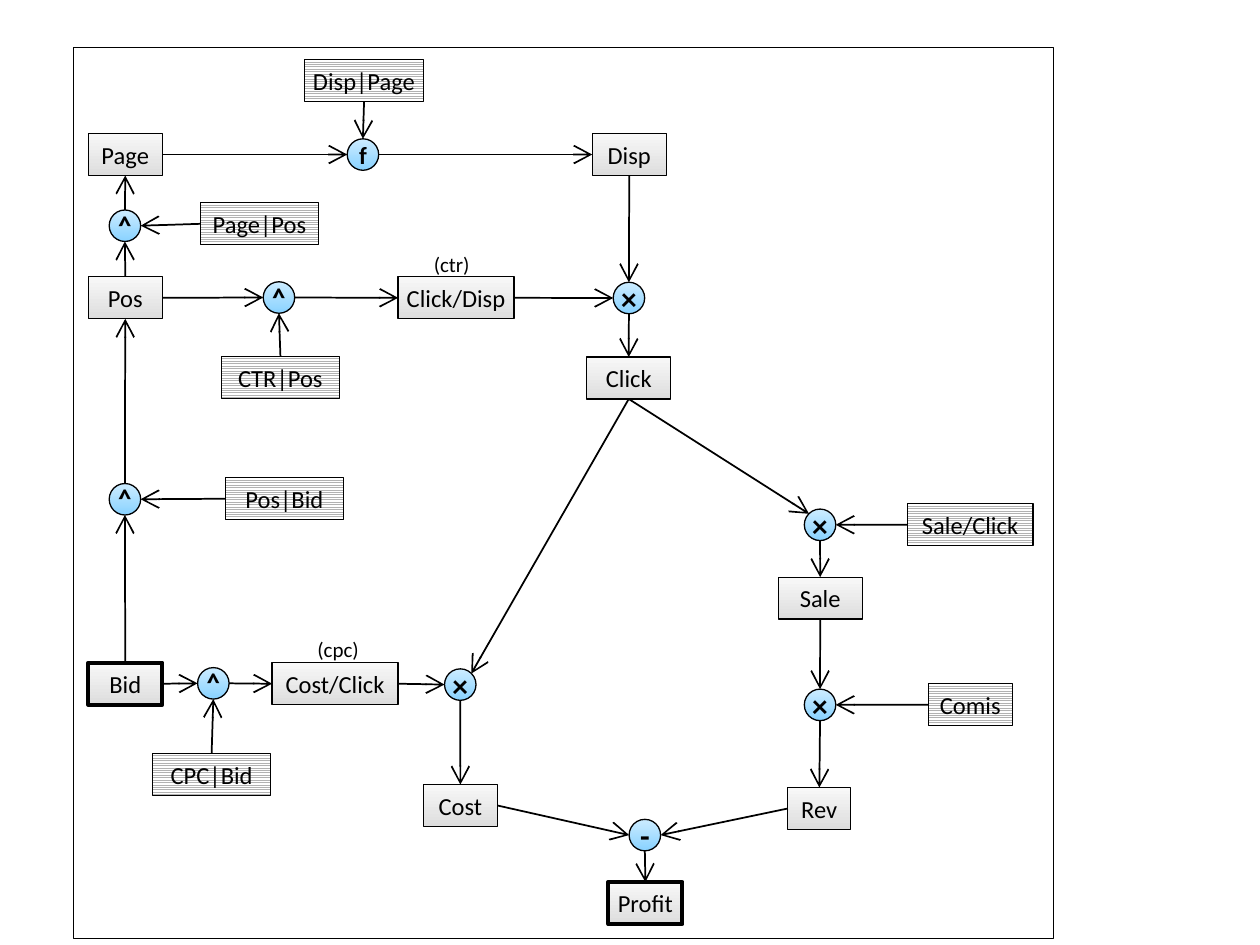
"""Build a slide with a diagram that links bids, clicks, costs and profit."""
from dataclasses import dataclass

from lxml import etree
from pptx import Presentation
from pptx.dml.color import RGBColor
from pptx.enum.dml import MSO_PATTERN
from pptx.enum.shapes import MSO_CONNECTOR, MSO_SHAPE
from pptx.enum.text import MSO_ANCHOR, MSO_AUTO_SIZE, PP_ALIGN
from pptx.oxml.ns import qn
from pptx.util import Pt

RECTANGLE, OVAL = MSO_SHAPE.RECTANGLE, MSO_SHAPE.OVAL
STRAIGHT = MSO_CONNECTOR.STRAIGHT
STRIPES = MSO_PATTERN.LIGHT_HORIZONTAL
MIDDLE, CENTER = MSO_ANCHOR.MIDDLE, PP_ALIGN.CENTER
FIT_SHAPE = MSO_AUTO_SIZE.SHAPE_TO_FIT_TEXT


@dataclass
class Theme:
    font: str = "Calibri"
    ink: RGBColor = RGBColor(0, 0, 0)
    paper: RGBColor = RGBColor(255, 255, 255)
    stripe: RGBColor = RGBColor(0xB2, 0xB2, 0xB2)
    value: tuple = (RGBColor(0xF8, 0xF8, 0xF8), RGBColor(0xDD, 0xDD, 0xDD))
    operator: tuple = (RGBColor(0xCC, 0xEC, 0xFF), RGBColor(0x89, 0xD2, 0xFF))
    note_size: int = 12
    label_size: int = 14
    symbol_size: int = 18
    thin: float = 0.75
    arrow: float = 1
    thick: float = 2.25


theme = Theme()
deck = Presentation()
deck.slide_width, deck.slide_height = Pt(720), Pt(540)
slide = deck.slides.add_slide(deck.slide_layouts[6])
nodes = {}


def write(shape, text, size, bold=False):
    frame = shape.text_frame
    frame.word_wrap = False
    span = frame.paragraphs[0].add_run()
    span.text = text
    span.font.name, span.font.size, span.font.bold = theme.font, Pt(size), bold
    span.font.color.rgb = theme.ink
    return frame


def add_node(kind, left, top, width, height, colors, weight=theme.thin):
    shape = slide.shapes.add_shape(kind, Pt(left), Pt(top), Pt(width), Pt(height))
    shape.shadow.inherit = False
    shape.line.color.rgb, shape.line.width = theme.ink, Pt(weight)
    if colors:
        shape.fill.gradient()
        shape.fill.gradient_angle = 270
        for stop, color in zip(shape.fill.gradient_stops, colors):
            stop.color.rgb = color
    else:
        shape.fill.solid()
        shape.fill.fore_color.rgb = theme.paper
    shape.text_frame.vertical_anchor = MIDDLE
    shape.text_frame.paragraphs[0].alignment = CENTER
    return shape


add_node(RECTANGLE, 41.8, 27.2, 560.2, 509, None)

value_boxes = [
    ("Page", 50.4, 76.3, 42.4), ("Disp", 338.4, 76.3, 42.4),
    ("Pos", 50.4, 158.2, 42.4), ("Click/Disp", 227.5, 158.2, 66.2),
    ("Click", 335.3, 204, 48), ("Sale", 444.7, 329.8, 48),
    ("Bid", 50.4, 378.7, 42.4), ("Cost/Click", 155.5, 378.7, 72),
    ("Cost", 241.9, 448.3, 42.4), ("Rev", 450.2, 450, 36),
    ("Profit", 347.6, 504, 42.4),
]
for name, left, top, width in value_boxes:
    weight = theme.thick if name in ("Bid", "Profit") else theme.thin
    nodes[name] = add_node(RECTANGLE, left, top, width, 24, theme.value, weight)
    write(nodes[name], name, theme.label_size)

input_boxes = [
    ("Disp|Page", 174.2, 34, 67.7), ("Page|Pos", 114.4, 115.9, 67.7),
    ("CTR|Pos", 126.4, 203.6, 67.7), ("Pos|Bid", 128.7, 273, 67.7),
    ("CPC|Bid", 87.1, 430.4, 67.7), ("Sale/Click", 518.4, 287.8, 72),
    ("Comis", 530.5, 390.7, 48),
]
for name, left, top, width in input_boxes:
    box = nodes[name] = add_node(RECTANGLE, left, top, width, 24, None)
    box.fill.patterned()
    box.fill.pattern = STRIPES
    box.fill.fore_color.rgb, box.fill.back_color.rgb = theme.stripe, theme.paper
    write(box, name, theme.label_size)

operators = [
    ("to Disp", "f", 198.4, 79.3), ("to Page", "˄", 62.4, 120),
    ("to CTR", "˄", 150.4, 161), ("to Click", "×", 350.4, 161.3),
    ("to Pos", "˄", 62.4, 276.3), ("to Sale", "×", 459.6, 290.9),
    ("to CPC", "˄", 112.9, 381.5), ("to Cost", "×", 254, 382.2),
    ("to Rev", "×", 459.6, 393.8), ("to Profit", "-", 359.5, 468.2),
]
for name, symbol, left, top in operators:
    nodes[name] = add_node(OVAL, left, top, 18, 18, theme.operator)
    size = theme.label_size if symbol == "f" else theme.symbol_size
    write(nodes[name], symbol, size, bold=True)

for note, left, top, width in [("(cpc)", 181.4, 363.6, 26.6), ("(ctr)", 247.9, 143.8, 21.6)]:
    box = slide.shapes.add_textbox(Pt(left), Pt(top), Pt(width), Pt(14.6))
    frame = write(box, note, theme.note_size)
    frame.margin_left = frame.margin_right = frame.margin_top = frame.margin_bottom = 0
    frame.auto_size = FIT_SHAPE

sides = {
    "top": (0.5, 0), "bottom": (0.5, 1), "left": (0, 0.5), "right": (1, 0.5),
    "top left": (0.15, 0.15), "top right": (0.85, 0.15),
}
arrows = [
    ("Page", "right", "to Disp", "left"), ("to Disp", "right", "Disp", "left"),
    ("Disp|Page", "bottom", "to Disp", "top"), ("Disp", "bottom", "to Click", "top"),
    ("Pos", "top", "to Page", "bottom"), ("to Page", "top", "Page", "bottom"),
    ("Page|Pos", "left", "to Page", "right"), ("Pos", "right", "to CTR", "left"),
    ("CTR|Pos", "top", "to CTR", "bottom"), ("to CTR", "right", "Click/Disp", "left"),
    ("Click/Disp", "right", "to Click", "left"), ("to Click", "bottom", "Click", "top"),
    ("Click", "bottom", "to Sale", "top left"), ("Click", "bottom", "to Cost", "top right"),
    ("Bid", "top", "to Pos", "bottom"), ("to Pos", "top", "Pos", "bottom"),
    ("Pos|Bid", "left", "to Pos", "right"), ("Bid", "right", "to CPC", "left"),
    ("CPC|Bid", "top", "to CPC", "bottom"), ("to CPC", "right", "Cost/Click", "left"),
    ("Cost/Click", "right", "to Cost", "left"), ("to Cost", "bottom", "Cost", "top"),
    ("Sale/Click", "left", "to Sale", "right"), ("to Sale", "bottom", "Sale", "top"),
    ("Sale", "bottom", "to Rev", "top"), ("Comis", "left", "to Rev", "right"),
    ("to Rev", "bottom", "Rev", "top"), ("Rev", "left", "to Profit", "right"),
    ("Cost", "right", "to Profit", "left"), ("to Profit", "bottom", "Profit", "top"),
]
for start, start_side, end, end_side in arrows:
    points = []
    for name, side in ((start, start_side), (end, end_side)):
        node, (across, down) = nodes[name], sides[side]
        points += [int(node.left + across * node.width), int(node.top + down * node.height)]
    arrow = slide.shapes.add_connector(STRAIGHT, *points)
    arrow.line.color.rgb, arrow.line.width = theme.ink, Pt(theme.arrow)
    etree.SubElement(arrow.get_or_add_ln(), qn("a:tailEnd"), type="arrow", w="lg", len="lg")
    etree.SubElement(arrow._element.spPr, qn("a:effectLst"))

deck.save("out.pptx")
